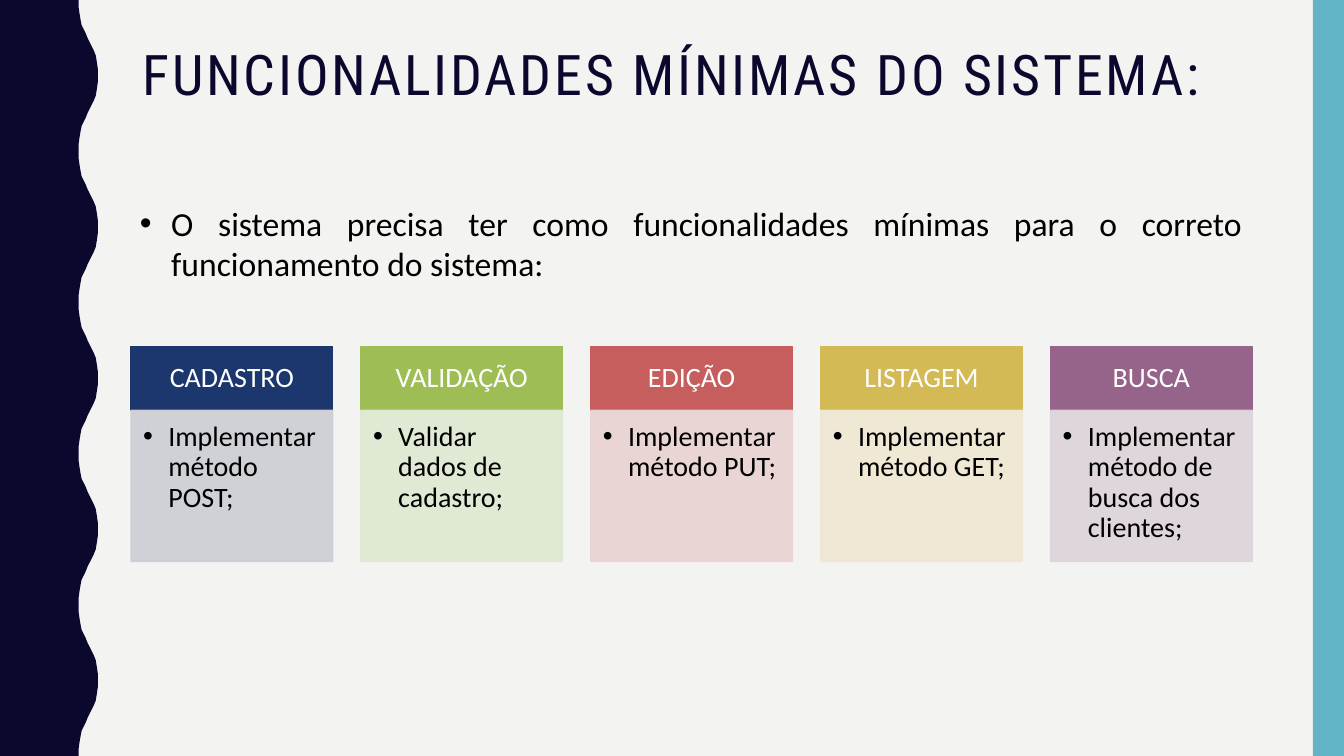
import pptx
import pptx.util
import pptx.dml.color
import pptx.enum.shapes
import pptx.enum.text
import pptx.oxml
import pptx.oxml.ns
import lxml.etree

Inches = pptx.util.Inches
Pt = pptx.util.Pt
ALIGN = pptx.enum.text.PP_ALIGN
ANCHOR = pptx.enum.text.MSO_ANCHOR

NAVY = "0B082E"
WAVE_RISE = [(0.78, 0), (0.78, 0.07), (0.79, 0.14), (0.8, 0.2), (0.81, 0.25),
             (0.83, 0.29), (0.85, 0.33), (0.87, 0.38), (0.89, 0.42), (0.91, 0.46),
             (0.93, 0.5), (0.95, 0.55), (0.96, 0.61), (0.97, 0.68), (0.97, 0.75)]
FEATURES = [
    ("CADASTRO", "Implementar método POST;", "1B376E", "CDCED5"),
    ("VALIDAÇÃO", "Validar dados de cadastro;", "9EBE55", "DFE8D1"),
    ("EDIÇÃO", "Implementar método PUT;", "C65E5E", "EAD2D2"),
    ("LISTAGEM", "Implementar método GET;", "D3BA55", "EFE7D1"),
    ("BUSCA", "Implementar método de busca dos clientes;", "96648A", "DDD3DA"),
]


def rgb(code):
    """Return the colour for a hex string."""
    return pptx.dml.color.RGBColor.from_string(code)


def paint(shape, code, outlined=False, alpha=None):
    """Give a shape its flat fill, its outline and its opacity in percent."""
    shape.shadow.inherit = False
    shape.fill.solid()
    shape.fill.fore_color.rgb = rgb(code)
    if outlined:
        shape.line.color.rgb = rgb(code)
        shape.line.width = Pt(1)
    else:
        shape.line.fill.background()
    if alpha is not None:
        for color in shape._element.spPr.iter(pptx.oxml.ns.qn("a:srgbClr")):
            opacity = lxml.etree.SubElement(color, pptx.oxml.ns.qn("a:alpha"))
            opacity.set("val", str(alpha * 1000))


def write(shape, text, size, code, align, anchor=ANCHOR.TOP, font="Calibri",
          insets=(0.1, 0.05, 0.1, 0.05), spacing=None):
    """Write one paragraph into a shape and return the paragraph."""
    frame = shape.text_frame
    frame.word_wrap = True
    frame.auto_size = pptx.enum.text.MSO_AUTO_SIZE.NONE
    frame.vertical_anchor = anchor
    (frame.margin_left, frame.margin_top,
     frame.margin_right, frame.margin_bottom) = map(Inches, insets)
    paragraph = frame.paragraphs[0]
    paragraph.alignment = align
    if spacing:
        paragraph.line_spacing = spacing
    run = paragraph.add_run()
    run.text = text
    run.font.size = Pt(size)
    run.font.name = font
    run.font.color.rgb = rgb(code)
    return paragraph


def add_bullet(paragraph, indent):
    """Give a paragraph a round bullet with a hanging indent."""
    properties = paragraph._p.get_or_add_pPr()
    properties.set("marL", str(Inches(indent)))
    properties.set("indent", str(Inches(-indent)))
    typeface = lxml.etree.SubElement(properties, pptx.oxml.ns.qn("a:buFont"))
    typeface.set("typeface", "Arial")
    bullet = lxml.etree.SubElement(properties, pptx.oxml.ns.qn("a:buChar"))
    bullet.set("char", "•")


def add_rectangle(slide, left, top, width, height):
    """Add a rectangle measured in inches."""
    return slide.shapes.add_shape(pptx.enum.shapes.MSO_SHAPE.RECTANGLE,
                                  *map(Inches, (left, top, width, height)))


def add_wave(slide, left, top, height, period=1.5):
    """Draw the wavy band down the left side."""
    crest = WAVE_RISE + [(x, period - y) for x, y in WAVE_RISE[-2::-1]]
    edge = [(left + x, top + period * turn + y)
            for turn in range(round(height / period)) for x, y in crest]
    outline = edge + [(left, top + height)]
    builder = slide.shapes.build_freeform(Inches(left), Inches(top))
    builder.add_line_segments([(Inches(x), Inches(y)) for x, y in outline], close=True)
    paint(builder.convert_to_shape(), NAVY)


def add_title(slide, left, top, width, height):
    """Place and format the slide title."""
    title = slide.shapes.title
    title.left, title.top, title.width, title.height = map(
        Inches, (left, top, width, height))
    heading = write(title, "FUNCIONALIDADES MÍNIMAS DO SISTEMA:", 40, NAVY,
                    ALIGN.CENTER, font="Roboto Condensed", spacing=0.9)
    heading.runs[0].font._element.set("spc", "200")


def add_intro(slide, left, top, width, height):
    """Add the justified sentence that introduces the features."""
    intro = slide.shapes.add_textbox(*map(Inches, (left, top, width, height)))
    sentence = write(intro, "O sistema precisa ter como funcionalidades mínimas para o "
                     "correto funcionamento do sistema:", 24, "000000", ALIGN.JUSTIFY)
    add_bullet(sentence, 0.31)


def add_feature(slide, left, top, width, height, feature, header_height=0.63):
    """Add one feature: a coloured header above a tinted description."""
    name, task, strong, tint = feature
    header = add_rectangle(slide, left, top, width, header_height)
    paint(header, strong, outlined=True)
    write(header, name, 20, "FFFFFF", ALIGN.CENTER, ANCHOR.MIDDLE,
          insets=(0.16, 0.09, 0.16, 0.09), spacing=0.9)
    detail = add_rectangle(slide, left, top + header_height, width, height - header_height)
    paint(detail, tint, outlined=True, alpha=90)
    description = write(detail, task, 20, "000000", ALIGN.LEFT,
                        insets=(0.12, 0.12, 0.16, 0.17), spacing=0.9)
    add_bullet(description, 0.25)


def add_features(slide, left, top, width, height, gap=0.28):
    """Spread the features over equal columns."""
    column = (width - gap * (len(FEATURES) - 1)) / len(FEATURES)
    for index, feature in enumerate(FEATURES):
        add_feature(slide, left + index * (column + gap), top, column, height, feature)


def build():
    """Build the slide and save the presentation."""
    presentation = pptx.Presentation()
    presentation.slide_width = Inches(13.33)
    presentation.slide_height = Inches(7.5)
    slide = presentation.slides.add_slide(presentation.slide_layouts[5])
    slide.background.fill.solid()
    slide.background.fill.fore_color.rgb = rgb("F3F3F2")
    add_wave(slide, 0, 0, 7.5)
    paint(add_rectangle(slide, 13.02, 0, 0.31, 7.5), "62B4C6")
    add_title(slide, 1.1, 0.42, 11.13, 0.99)
    add_features(slide, 1.3, 3.44, 11.12, 2.13)
    add_intro(slide, 1.29, 1.96, 11.13, 0.91)
    presentation.save("out.pptx")


build()
